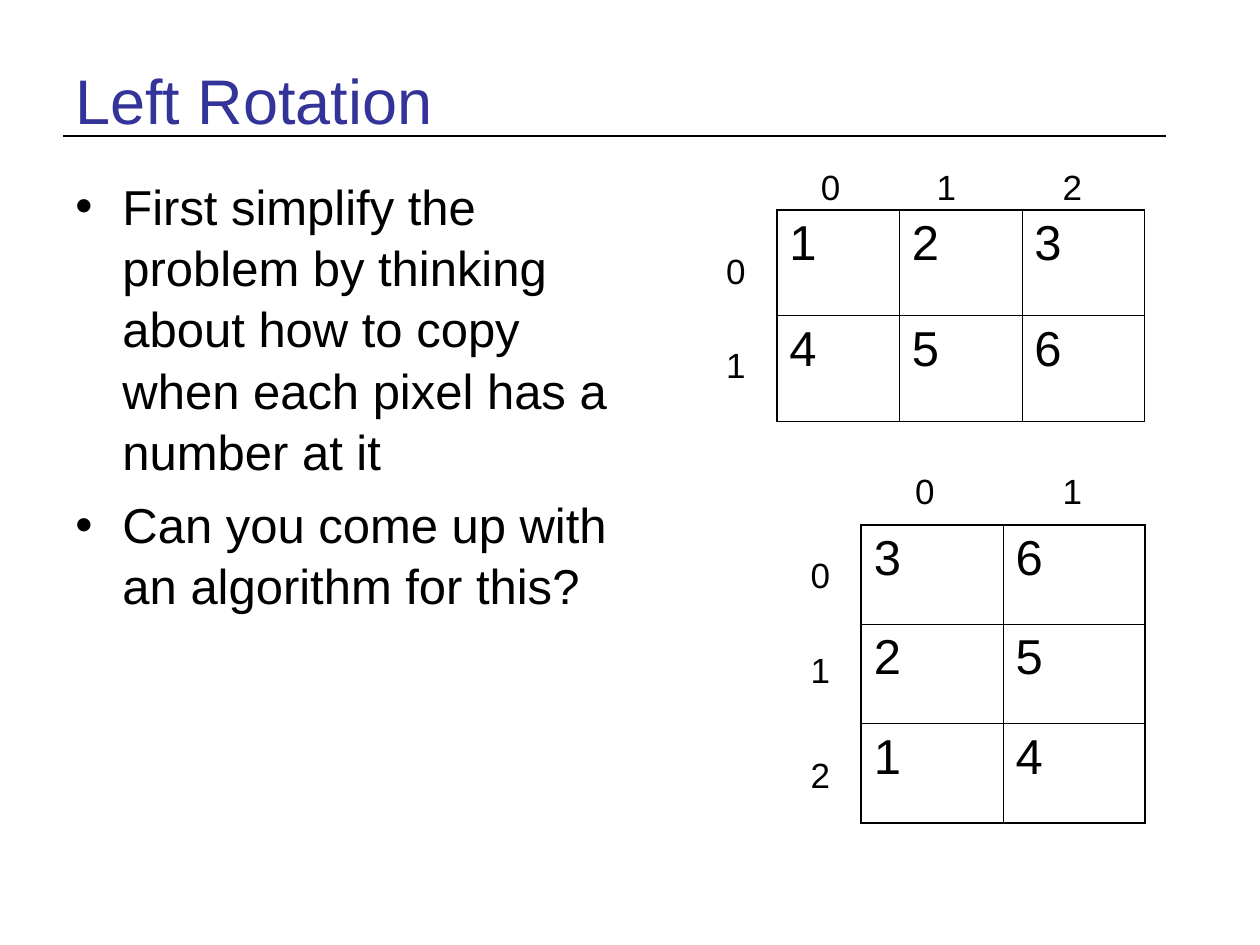
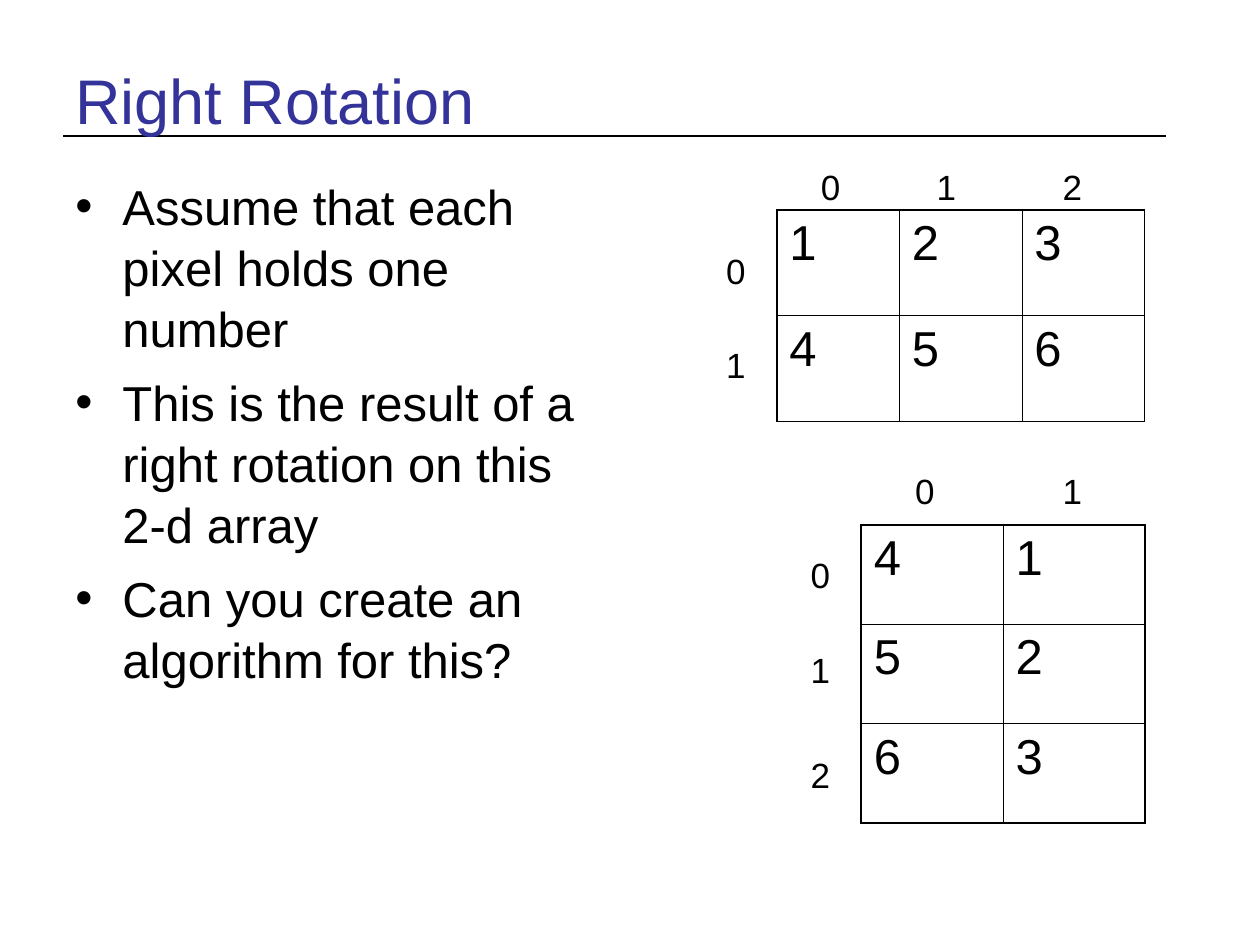
from lxml.etree import SubElement
from pptx import Presentation
from pptx.dml.color import RGBColor
from pptx.enum.shapes import MSO_CONNECTOR
from pptx.enum.text import MSO_ANCHOR
from pptx.oxml import parse_xml
from pptx.oxml.ns import nsdecls, qn
from pptx.util import Cm, Pt

SLIDES = [
    {
        "title": "Left Rotation",
        "bullets": [
            "First simplify the problem by thinking about how to copy "
            "when each pixel has a number at it",
            "Can you come up with an algorithm for this?",
        ],
        "rotated": [(3, 6), (2, 5), (1, 4)],
    },
    {
        "title": "Right Rotation",
        "bullets": [
            "Assume that each pixel holds one number",
            "This is the result of a right rotation on this 2-d array",
            "Can you create an algorithm for this?",
        ],
        "rotated": [(4, 1), (5, 2), (6, 3)],
    },
]
START = [(1, 2, 3), (4, 5, 6)]

COLORS = {"title": "333399", "text": "000000", "line": "000000"}
FONT = "Arial"
FORMATS = {
    "title": {"size": Pt(36), "color": "title"},
    "body": {"size": Pt(28), "color": "text"},
    "index": {"size": Pt(20), "color": "text"},
}
SPACING = {
    "title": {"line_spacing": 1.04},
    "body": {"line_spacing": 1.04, "space_before": Pt(7)},
    "cell": {"space_before": Pt(7)},
    "index": {"line_spacing": 1.04},
}

# Boxes are left, top, width, height in cm
TITLE_BOX = (1.27, 0.76, 22.86, 2.41)
BODY_BOX = (1.27, 3.39, 11.22, 13.64)
RULE = (1.27, 2.74, 23.5, 2.74)
INDENT = 0.95
INDEX_SIZE = (1.27, 1.12)
OUTER, INNER = Pt(1.08), Pt(0.45)

# Column indexes share one top, row indexes share one left
START_GRID = {
    "box": (15.66, 4.23, 7.41, 4.27),
    "columns": {"top": 3.18, "lefts": (16.3, 18.63, 21.17)},
    "rows": {"left": 14.39, "tops": (4.87, 6.77)},
}
ROTATED_GRID = {
    "box": (17.36, 10.58, 5.72, 6.01),
    "columns": {"top": 9.31, "lefts": (18.2, 21.17)},
    "rows": {"left": 16.09, "tops": (11.01, 12.91, 15.03)},
}


def write(p, text, style, spacing):
    r = p.add_run()
    r.text = str(text)
    fmt = FORMATS[style]
    for name, value in {"name": FONT, "size": fmt["size"]}.items():
        setattr(r.font, name, value)
    r.font.color.rgb = RGBColor.from_string(COLORS[fmt["color"]])
    for name, value in SPACING[spacing].items():
        setattr(p, name, value)


def add_text(slide, box, lines, style, anchor=MSO_ANCHOR.TOP):
    tf = slide.shapes.add_textbox(*map(Cm, box)).text_frame
    tf.word_wrap = True
    tf.vertical_anchor = anchor
    for i, line in enumerate(lines):
        p = tf.add_paragraph() if i else tf.paragraphs[0]
        write(p, line, style, style)
    return tf


def add_bullets(tf):
    for p in tf.paragraphs:
        pPr = p._p.get_or_add_pPr()
        pPr.set("marL", str(Cm(INDENT)))
        pPr.set("indent", str(-Cm(INDENT)))
        SubElement(pPr, qn("a:buFont")).set("typeface", FONT)
        SubElement(pPr, qn("a:buChar")).set("char", "•")


def add_rule(slide):
    line = slide.shapes.add_connector(MSO_CONNECTOR.STRAIGHT, *map(Cm, RULE))
    line.line.width = Pt(1.5)
    line.line.color.rgb = RGBColor.from_string(COLORS["line"])
    SubElement(line._element.spPr, qn("a:effectLst"))


def set_borders(cell, widths):
    """Draw the left, right, top and bottom borders in the given widths."""
    tcPr = cell._tc.get_or_add_tcPr()
    for i, (side, width) in enumerate(zip("LRTB", widths)):
        tcPr.insert(i, parse_xml(
            f'<a:ln{side} {nsdecls("a")} w="{int(width)}"><a:solidFill>'
            f'<a:srgbClr val="{COLORS["line"]}"/></a:solidFill></a:ln{side}>'))


def add_matrix(slide, values, grid):
    """Add a table of numbers with its column and row indexes."""
    n_rows, n_cols = len(values), len(values[0])
    table = slide.shapes.add_table(n_rows, n_cols, *map(Cm, grid["box"])).table
    table.first_row = table.horz_banding = False
    for i, row in enumerate(values):
        for j, value in enumerate(row):
            cell = table.cell(i, j)
            cell.fill.background()
            write(cell.text_frame.paragraphs[0], value, "body", "cell")
            edges = (j == 0, j == n_cols - 1, i == 0, i == n_rows - 1)
            set_borders(cell, [OUTER if edge else INNER for edge in edges])

    columns, rows = grid["columns"], grid["rows"]
    for spots in ([(left, columns["top"]) for left in columns["lefts"]],
                  [(rows["left"], top) for top in rows["tops"]]):
        for index, spot in enumerate(spots):
            add_text(slide, spot + INDEX_SIZE, [index], "index")


def main():
    prs = Presentation()
    prs.slide_width, prs.slide_height = Cm(25.4), Cm(19.05)
    for content in SLIDES:
        slide = prs.slides.add_slide(prs.slide_layouts[6])
        add_rule(slide)
        add_text(slide, TITLE_BOX, [content["title"]], "title", MSO_ANCHOR.MIDDLE)
        add_bullets(add_text(slide, BODY_BOX, content["bullets"], "body"))
        add_matrix(slide, START, START_GRID)
        add_matrix(slide, content["rotated"], ROTATED_GRID)
    prs.save("out.pptx")


if __name__ == "__main__":
    main()
